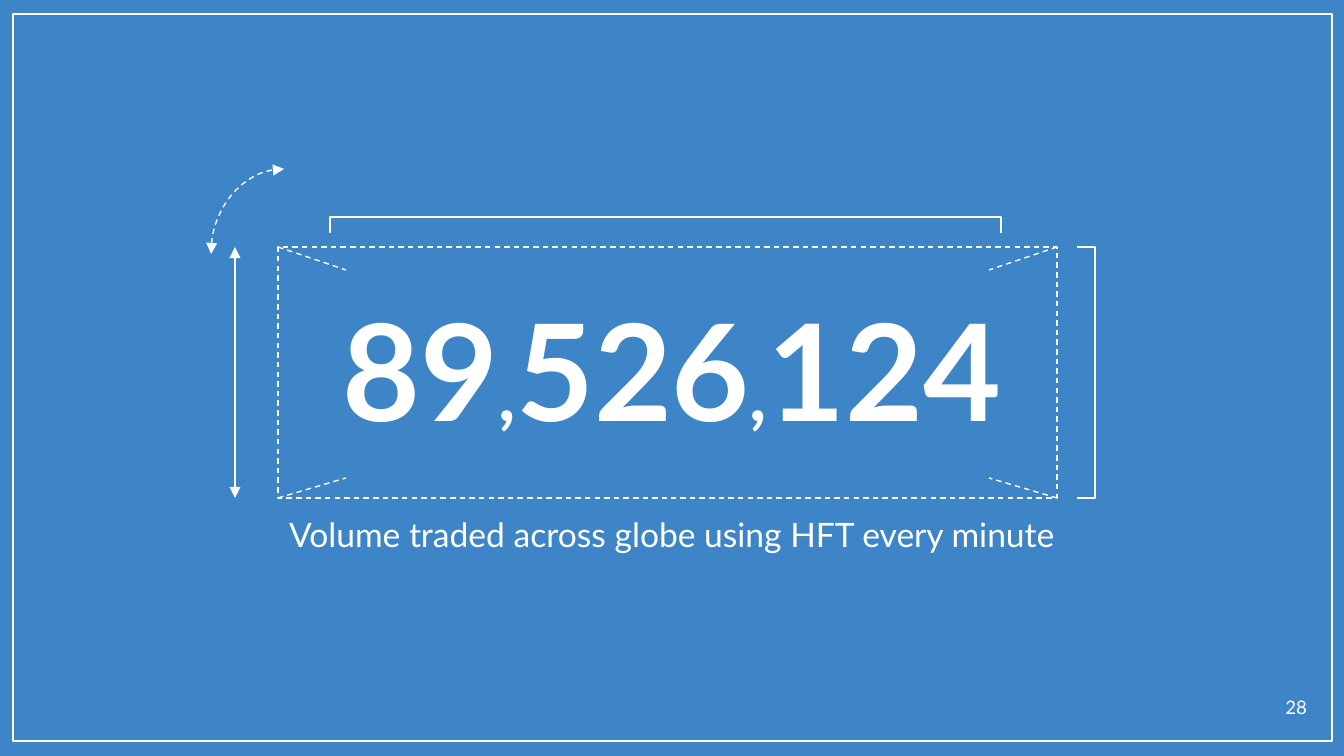
from lxml import etree
from pptx import Presentation
from pptx.dml.color import RGBColor
from pptx.enum.dml import MSO_LINE
from pptx.enum.shapes import MSO_CONNECTOR, MSO_SHAPE
from pptx.enum.text import MSO_ANCHOR, MSO_AUTO_SIZE, PP_ALIGN
from pptx.oxml.ns import qn
from pptx.util import Pt

DASH = MSO_LINE.DASH
SOLID = MSO_LINE.SOLID
STRAIGHT = MSO_CONNECTOR.STRAIGHT
RECT, ARC = MSO_SHAPE.RECTANGLE, MSO_SHAPE.ARC
TOP, NO_FIT = MSO_ANCHOR.TOP, MSO_AUTO_SIZE.NONE
CENTER, RIGHT = PP_ALIGN.CENTER, PP_ALIGN.RIGHT
SCALE = 914400 / 134.4
BLUE, WHITE = "3D85C6", "FFFFFF"


def px(num):
    return round(num * SCALE)


def color(code):
    return RGBColor.from_string(code)


def assign(target, values):
    for name, value in values.items():
        setattr(target, name, value)


class Canvas:
    """Holds the style and the current slide, and draws each kind of element."""

    font = {"name": "Lato", "bold": False}
    inset = 13
    weight = 0.75

    def __init__(self, deck):
        self.slide = deck.slides.add_slide(deck.slide_layouts[5])
        self.shapes = self.slide.shapes
        fill = self.slide.background.fill
        fill.solid()
        fill.fore_color.rgb = color(BLUE)

    def stroke(self, shape, dash=SOLID, heads=False):
        assign(shape.line, {"width": Pt(self.weight), "dash_style": dash})
        shape.line.fill.solid()
        shape.line.color.rgb = color(WHITE)
        if heads:
            line = shape.element.spPr.find(qn("a:ln"))
            for tag in ("a:headEnd", "a:tailEnd"):
                etree.SubElement(line, qn(tag), type="triangle")

    def outline(self, shape, **style):
        shape.shadow.inherit = False
        shape.fill.background()
        self.stroke(shape, **style)

    def shape(self, kind, box, turns=(), **style):
        shape = self.shapes.add_shape(kind, *map(px, box))
        for spot, turn in enumerate(turns):
            shape.adjustments[spot] = turn
        self.outline(shape, **style)

    def bracket(self, points):
        start, *rest = [(px(x), px(y)) for x, y in points]
        form = self.shapes.build_freeform(*start)
        form.add_line_segments(rest, close=False)
        self.outline(form.convert_to_shape())

    def line(self, ends, **style):
        line = self.shapes.add_connector(STRAIGHT, *map(px, ends))
        self.stroke(line, **style)
        etree.SubElement(line.element.spPr, qn("a:effectLst"))

    def letter(self, shape, box, parts, align=CENTER, **style):
        assign(shape, dict(zip(("left", "top", "width", "height"), map(px, box))))
        frame = shape.text_frame
        assign(frame, {"word_wrap": True, "auto_size": NO_FIT, "vertical_anchor": TOP})
        for side in ("left", "top", "right", "bottom"):
            setattr(frame, f"margin_{side}", px(self.inset))
        para = frame.paragraphs[0]
        assign(para, {"alignment": align, "space_before": Pt(0)})
        for text, size in parts:
            run = para.add_run()
            run.text = text
            assign(run.font, {**self.font, "size": Pt(size), **style})
            run.font.color.rgb = color(WHITE)

    def title(self, box, parts, **style):
        self.letter(self.shapes.title, box, parts, **style)

    def text(self, box, parts, **style):
        self.letter(self.shapes.add_textbox(*map(px, box)), box, parts, **style)


def main():
    deck = Presentation()
    assign(deck, {"slide_width": px(1344), "slide_height": px(756)})
    page = Canvas(deck)
    left, top, right, base = 278, 247, 1057, 498

    page.shape(RECT, (13, 14, 1319, 727))
    page.shape(RECT, (left, top, right - left, base - top), dash=DASH)
    page.bracket([(1077, top), (1095, top), (1095, base), (1077, base)])
    page.bracket([(330, 233), (330, 217), (1001, 217), (1001, 233)])
    page.shape(ARC, (211, 169, 146, 170), turns=(108, 162), dash=DASH, heads=True)
    page.line((235, top, 235, base), heads=True)
    for x, step in ((left, 68), (right, -68)):
        for y, drop in ((top, 23), (base, -20)):
            page.line((x, y, x + step, y + drop), dash=DASH)

    number = [("89", 72), (",", 40), ("526", 72), (",", 40), ("124", 72)]
    page.title((101, 274, 1142, 171), number, bold=True)
    label = "Volume traded across globe using HFT every minute"
    page.text((207, 501, 930, 116), [(label, 18)])
    page.text((1253, 683, 67, 43), [("28", 10)], align=RIGHT)
    deck.save("out.pptx")


if __name__ == "__main__":
    main()
